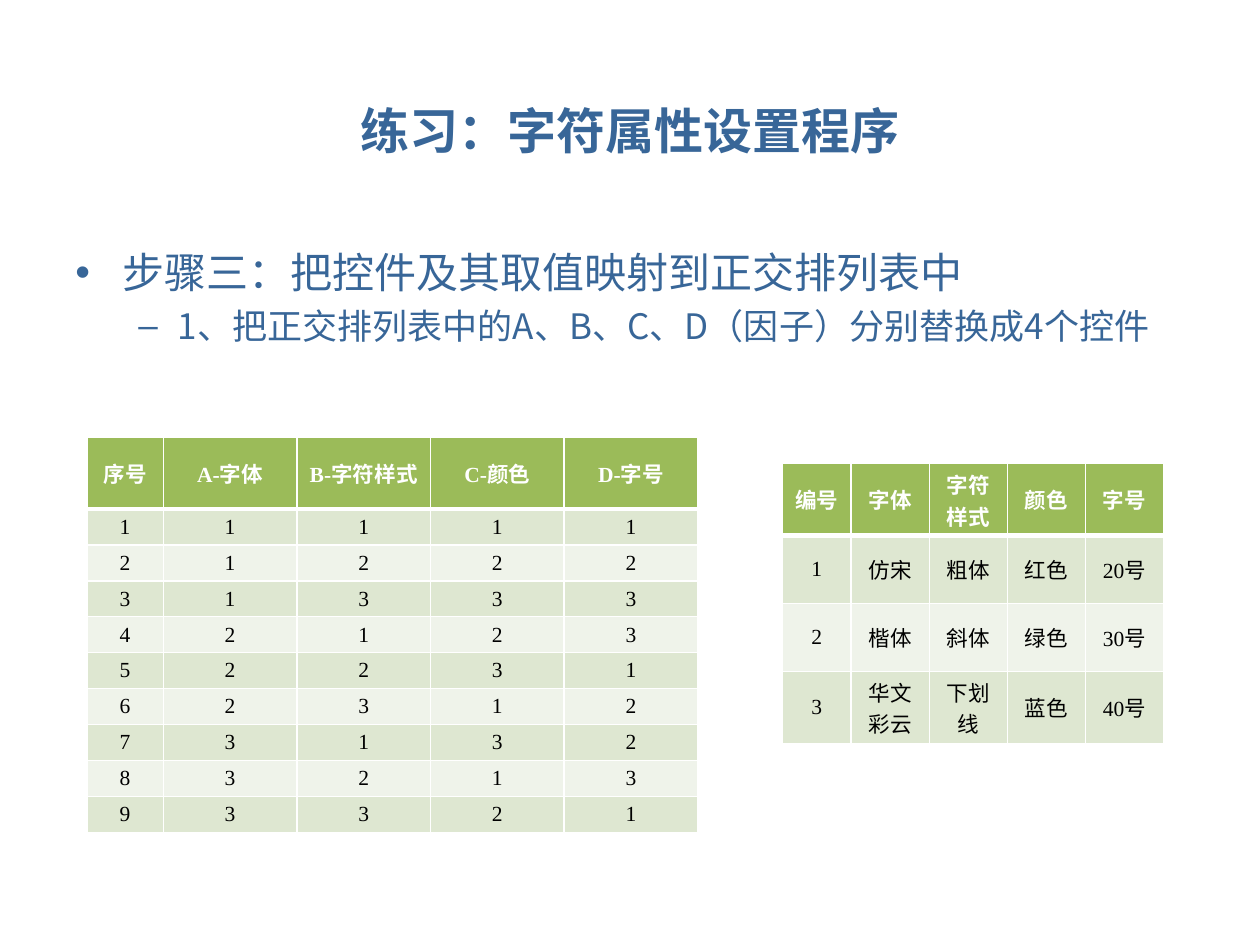
from lxml.etree import SubElement
from pptx import Presentation
from pptx.dml.color import RGBColor
from pptx.enum.text import MSO_ANCHOR, PP_ALIGN
from pptx.oxml.ns import qn
from pptx.util import Inches, Pt

SLIDE_WIDTH, SLIDE_HEIGHT = Inches(10), Inches(7.5)
BLUE = RGBColor(0x38, 0x66, 0x98)
GREEN = RGBColor(0x9B, 0xBB, 0x59)
BANDS = (RGBColor(0xEF, 0xF3, 0xEA), RGBColor(0xDE, 0xE7, 0xD1))
WHITE = RGBColor(0xFF, 0xFF, 0xFF)
BLACK = RGBColor(0, 0, 0)
CJK_FONT = "Noto Sans CJK SC"
TWO_LINE_ROW = 7.6

ORTHOGONAL_ARRAY = [
    ("序号", "A-字体", "B-字符样式", "C-颜色", "D-字号"),
    *(tuple(digits) for digits in (
        "11111", "21222", "31333", "42123", "52231",
        "62312", "73132", "83213", "93321")),
]
CONTROL_VALUES = [
    ("编号", "字体", "字符样式", "颜色", "字号"),
    ("1", "仿宋", "粗体", "红色", "20号"),
    ("2", "楷体", "斜体", "绿色", "30号"),
    ("3", "华文彩云", "下划线", "蓝色", "40号"),
]


def across(percent):
    """Return a share of the slide width."""
    return round(SLIDE_WIDTH * percent / 100)


def down(percent):
    """Return a share of the slide height."""
    return round(SLIDE_HEIGHT * percent / 100)


def write(paragraph, text, *, size, color, font=CJK_FONT, bold=False, align=PP_ALIGN.LEFT):
    """Put formatted text into a paragraph."""
    paragraph.alignment = align
    run = paragraph.add_run()
    run.text = text
    run.font.size = Pt(size)
    run.font.bold = bold
    run.font.name = font
    run.font.color.rgb = color
    SubElement(run.font._element, qn("a:ea"), typeface=CJK_FONT)


def add_frame(slide, left, top, width, height, anchor):
    """Add a wrapping text box and return its text frame."""
    frame = slide.shapes.add_textbox(across(left), down(top), across(width), down(height)).text_frame
    frame.word_wrap = True
    frame.vertical_anchor = anchor
    return frame


def set_bullet(paragraph, mark, *, level, margin, hanging, spacing, before):
    """Give a paragraph its bullet, indent and spacing."""
    paragraph.level = level
    paragraph.line_spacing = spacing
    paragraph.space_before = Pt(before)
    properties = paragraph._p.get_or_add_pPr()
    properties.set("marL", str(across(margin)))
    properties.set("indent", str(-across(hanging)))
    SubElement(properties, qn("a:buFont"), typeface="Arial")
    SubElement(properties, qn("a:buChar"), char=mark)


def set_borders(cell, bottom):
    """Draw white borders around a cell with the given bottom width."""
    properties = cell._tc.get_or_add_tcPr()
    for index, (side, width) in enumerate((("L", 1), ("R", 1), ("T", 1), ("B", bottom))):
        border = properties.makeelement(qn(f"a:ln{side}"), w=str(Pt(width)))
        fill = SubElement(border, qn("a:solidFill"))
        SubElement(fill, qn("a:srgbClr"), val=str(WHITE))
        properties.insert(index, border)


def add_grid(slide, rows, left, top, first_width, other_width, row_heights):
    """Add a banded table with a green header row."""
    widths = [across(first_width)] + [across(other_width)] * (len(rows[0]) - 1)
    heights = [down(height) for height in row_heights]
    table = slide.shapes.add_table(
        len(rows), len(widths), across(left), down(top), sum(widths), sum(heights)).table
    for column, width in zip(table.columns, widths):
        column.width = width
    for row, height in zip(table.rows, heights):
        row.height = height
    for row_index, values in enumerate(rows):
        header = row_index == 0
        for column_index, value in enumerate(values):
            cell = table.cell(row_index, column_index)
            cell.vertical_anchor = MSO_ANCHOR.MIDDLE
            cell.margin_top = cell.margin_bottom = Inches(0.04)
            cell.fill.solid()
            cell.fill.fore_color.rgb = GREEN if header else BANDS[row_index % 2]
            set_borders(cell, bottom=3 if header else 1)
            write(cell.text_frame.paragraphs[0], value, size=12.3, font="Times New Roman",
                  color=WHITE if header else BLACK, bold=header, align=PP_ALIGN.CENTER)


def main():
    """Build the exercise slide."""
    deck = Presentation()
    deck.slide_width, deck.slide_height = SLIDE_WIDTH, SLIDE_HEIGHT
    slide = deck.slides.add_slide(deck.slide_layouts[6])

    title = add_frame(slide, 5, 10.13, 90, 7.2, MSO_ANCHOR.MIDDLE)
    write(title.paragraphs[0], "练习：字符属性设置程序", size=28, color=BLUE,
          font="Cabin", bold=True, align=PP_ALIGN.CENTER)

    body = add_frame(slide, 5, 23.33, 90, 66, MSO_ANCHOR.TOP)
    step = body.paragraphs[0]
    set_bullet(step, "•", level=0, margin=3.75, hanging=3.75, spacing=1.4, before=4.8)
    write(step, "步骤三：把控件及其取值映射到正交排列表中", size=24, color=BLUE)
    detail = body.add_paragraph()
    set_bullet(detail, "–", level=1, margin=8.13, hanging=3.13, spacing=1.0, before=4)
    write(detail, "1、把正交排列表中的A、B、C、D（因子）分别替换成4个控件", size=20, color=BLUE)

    add_grid(slide, ORTHOGONAL_ARRAY, 6.9, 46.27, 6.06, 10.61, [TWO_LINE_ROW] + [3.77] * 9)
    add_grid(slide, CONTROL_VALUES, 62.1, 49.07, 5.46, 6.2,
             [TWO_LINE_ROW, 7.2, 7.2, TWO_LINE_ROW])
    deck.save("out.pptx")


if __name__ == "__main__":
    main()
